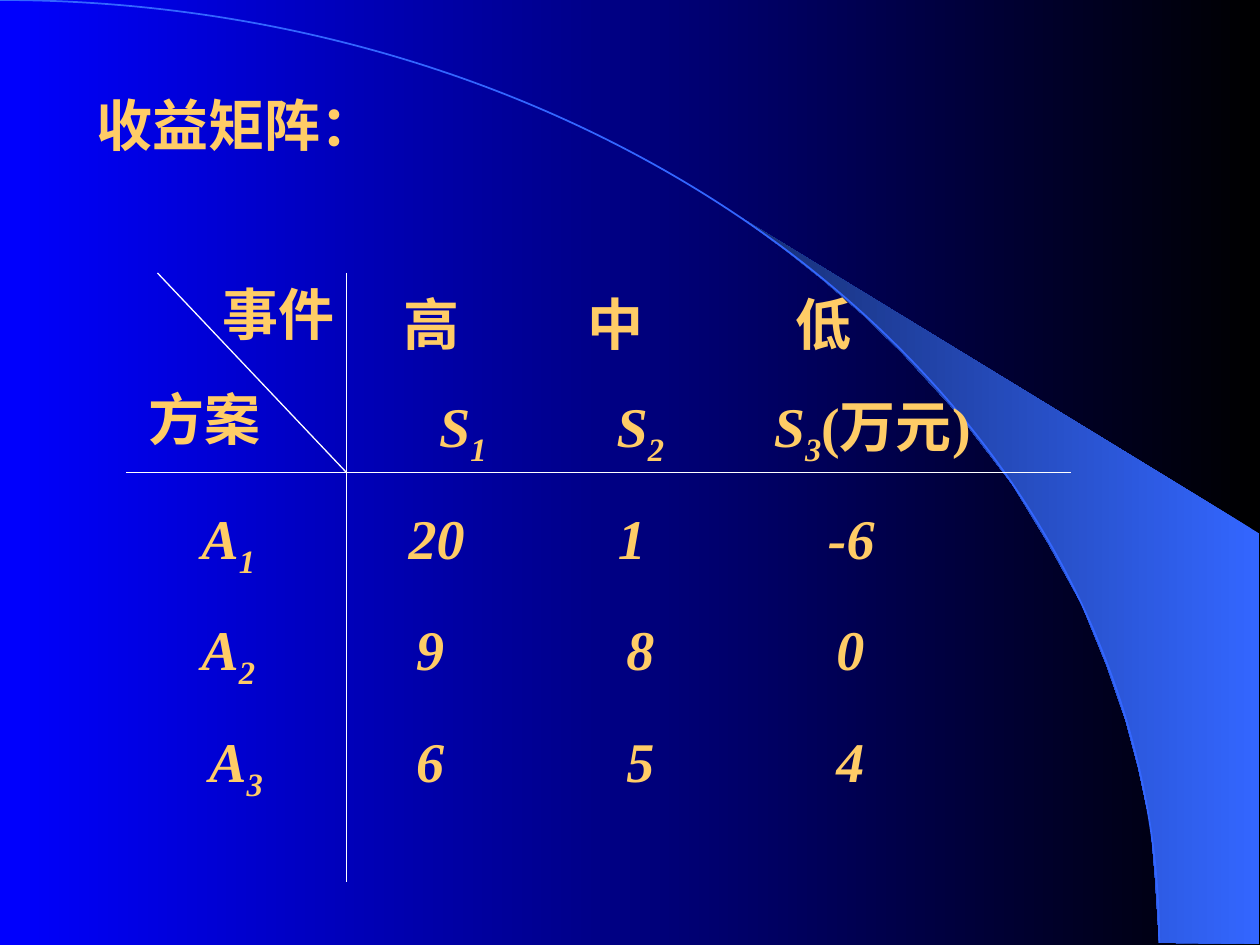
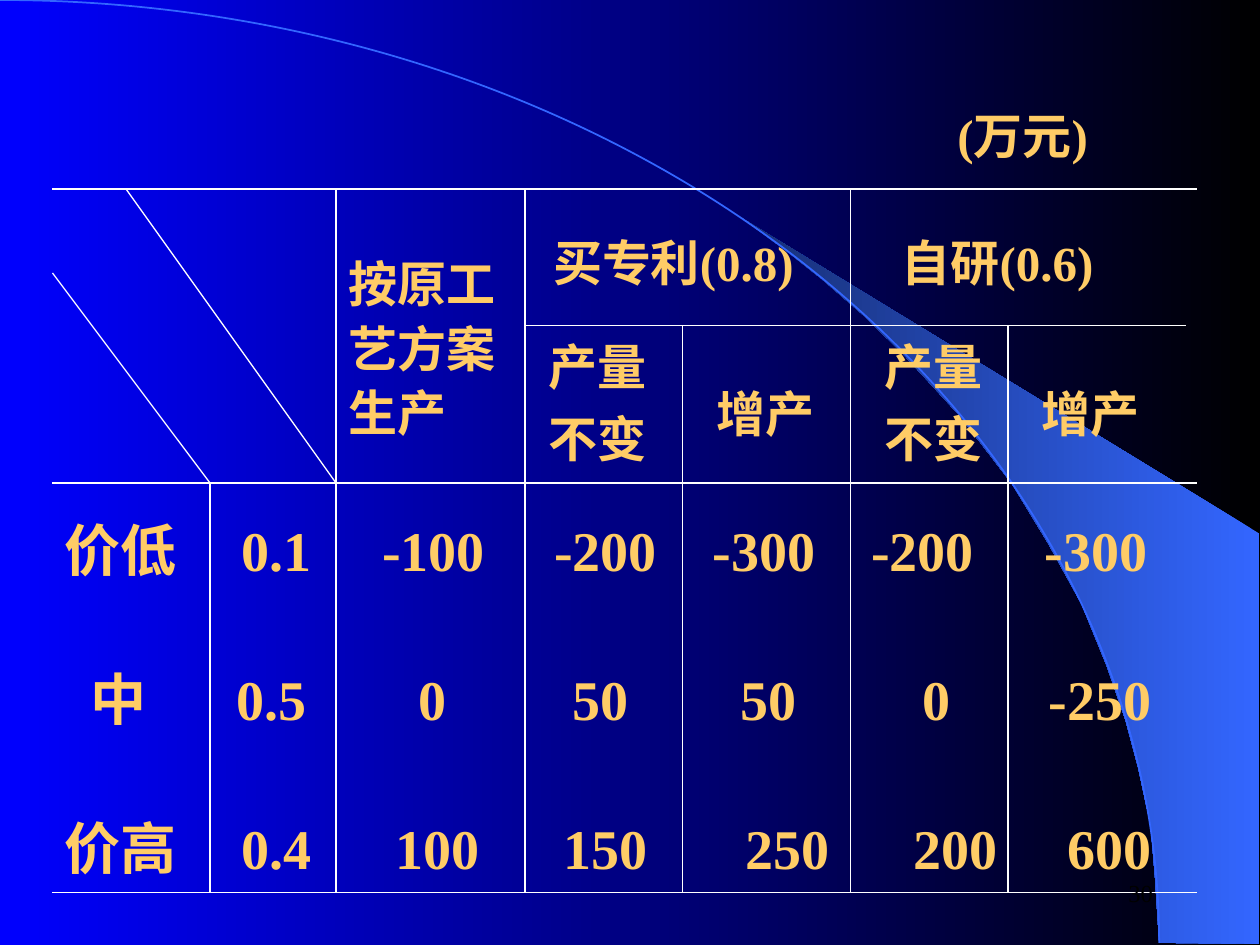
"""Build two slides: a payoff matrix and a table of production alternatives."""
from lxml.etree import SubElement
from pptx import Presentation
from pptx.dml.color import RGBColor
from pptx.enum.shapes import MSO_CONNECTOR, MSO_SHAPE
from pptx.enum.text import MSO_ANCHOR, MSO_AUTO_SIZE as AUTO, PP_ALIGN
from pptx.oxml.ns import qn
from pptx.util import Pt

PX = 7620
W, H = 1200, 900
FONT = "Times New Roman"
COLORS = {"night": "000000", "blue": "0000FF", "sky": "3366FF",
          "navy": "172F75", "gold": "FFCC66", "rule": "FFFFFF"}

WEDGE = [(1104, 898), (1199, 899), (1199, 508), (707, 208), (749, 239), (783, 266),
         (822, 300), (859, 336), (914, 396), (964, 461), (998, 517), (1030, 575),
         (1054, 634), (1072, 686), (1084, 731), (1096, 787), (1100, 835)]
ARC = (-1104, 0, 2208, 1796)

# Each cell is (centre, text, subscript, tail).
PAYOFF_ROWS = [
    [(219, "高"), (394, "中"), (593, "低")],
    [(249, "S", "1"), (418, "S", "2"), (639, "S", "3", "(万元)")],
    [(24, "A", "1"), (224, "20"), (410, "1"), (619, "-6")],
    [(24, "A", "2"), (218, "9"), (418, "8"), (618, "0")],
    [(33, "A", "3"), (218, "6"), (418, "5"), (618, "4")],
]
PAYOFF_LABELS = [
    ((80, 80, 1070, 77), "收益矩阵："),
    ((200, 260, 160, 77), "事件"),
    ((130, 360, 160, 77), "方案"),
]
PAYOFF_RULES = [(120, 450, 1020, 450), (330, 260, 330, 840), (330, 450, 150, 260)]

PRICE_ROWS = [
    [(52, "价低"), (202, "0.1"), (351, "-100"), (515, "-200"),
     (666, "-300"), (817, "-200"), (982, "-300")],
    [(51, "中"), (197, "0.5"), (350, "0"), (510, "50"),
     (670, "50"), (830, "0"), (986, "-250")],
    [(52, "价高"), (202, "0.4"), (355, "100"), (515, "150"),
     (688, "250"), (848, "200"), (995, "600")],
]
PRICE_HEADS = [
    ((320, 230, 190, 197), ["按原工艺方案生产"], 1.1),
    ((515, 210, 290, 74), ["买专利(0.8)"], 1.1),
    ((847, 210, 250, 74), ["自研(0.6)"], 1.1),
    ((511, 330, 140, 120), ["产量", "不变"], 0.7),
    ((671, 320, 140, 108), ["增产"], 1.7),
    ((831, 330, 140, 120), ["产量", "不变"], 0.7),
    ((980, 320, 140, 108), ["增产"], 1.7),
    ((900, 55, 220, 108), ["(万元)"], 1.7),
]
COLUMN_TOPS = {200: 460, 320: 180, 500: 180, 650: 310, 810: 180, 960: 310}
PRICE_RULES = ([(50, y, 1140, y) for y in (180, 460, 850)]
               + [(500, 310, 1130, 310)]
               + [(x, 850, x, top) for x, top in COLUMN_TOPS.items()]
               + [(320, 460, 120, 180), (200, 460, 50, 260)])


def rgb(name):
    return RGBColor.from_string(COLORS[name])


def emu(*lengths):
    return [round(v * PX) for v in lengths]


def paint_gradient(fill, start, end):
    fill.gradient()
    fill.gradient_angle = 180
    for stop, name in zip(fill.gradient_stops, (start, end)):
        stop.color.rgb = rgb(name)


def add_run(p, text, size, color="gold", bold=True, italic=False, sub=False):
    r = p.add_run()
    r.text = text
    f = r.font
    f.name, f.size, f.bold, f.italic = FONT, Pt(size), bold, italic
    f.color.rgb = rgb(color)
    if sub:
        r._r.get_or_add_rPr().set("baseline", "-25000")


def add_frame(slide, box):
    tf = slide.shapes.add_textbox(*emu(*box)).text_frame
    tf.word_wrap = True
    tf.auto_size = AUTO.SHAPE_TO_FIT_TEXT
    return tf


def add_paragraphs(tf, count, spacing, before):
    for i in range(count):
        p = tf.add_paragraph() if i else tf.paragraphs[0]
        p.line_spacing = spacing
        p.space_before = Pt(before if i else 0)
        yield p


def add_label(slide, box, lines, size=32, spacing=1.0):
    tf = add_frame(slide, box)
    for p, line in zip(add_paragraphs(tf, len(lines), spacing, 17.5), lines):
        add_run(p, line, size)


def add_rows(slide, box, rows, spacing=1.0, italic=False):
    tf = add_frame(slide, box)
    for p, row in zip(add_paragraphs(tf, len(rows), spacing, 20), rows):
        tabs = SubElement(p._p.get_or_add_pPr(), qn("a:tabLst"))
        for centre, *parts in row:
            SubElement(tabs, qn("a:tab"), pos=str(centre * PX), algn="ctr")
            for i, part in enumerate(parts):
                add_run(p, part if i else "\t" + part, 32,
                        italic=italic and part.isascii(), sub=i == 1)


def add_rules(slide, rules):
    for ends in rules:
        line = slide.shapes.add_connector(MSO_CONNECTOR.STRAIGHT, *emu(*ends))
        line.line.color.rgb = rgb("rule")
        line.line.width = Pt(0.75)
        SubElement(line._element.spPr, qn("a:effectLst"))


def add_slide(prs):
    slide = prs.slides.add_slide(prs.slide_layouts[6])
    builder = slide.shapes.build_freeform(*WEDGE[0], scale=PX)
    builder.add_line_segments(WEDGE[1:], close=True)
    wedge = builder.convert_to_shape()
    wedge.shadow.inherit = False
    wedge.line.fill.background()
    paint_gradient(wedge.fill, "sky", "navy")
    arc = slide.shapes.add_shape(MSO_SHAPE.ARC, *emu(*ARC))
    arc.shadow.inherit = False
    arc.fill.background()
    arc.line.color.rgb = rgb("sky")
    arc.line.width = Pt(1)
    return slide


def build_payoff(prs):
    slide = add_slide(prs)
    add_rows(slide, (180, 270, 840, 502), PAYOFF_ROWS, italic=True)
    add_rules(slide, PAYOFF_RULES)
    for box, text in PAYOFF_LABELS:
        add_label(slide, box, [text])


def build_prices(prs):
    slide = add_slide(prs)
    add_rows(slide, (50, 440, 1110, 406), PRICE_ROWS, 1.7)
    add_rules(slide, PRICE_RULES)
    for box, lines, spacing in PRICE_HEADS:
        add_label(slide, box, lines, 28, spacing)
    tf = add_frame(slide, (860, 820, 250, 60))
    tf.auto_size = AUTO.NONE
    tf.vertical_anchor = MSO_ANCHOR.MIDDLE
    p = tf.paragraphs[0]
    p.alignment = PP_ALIGN.RIGHT
    add_run(p, "30", 14, "night", bold=False)


def main():
    prs = Presentation()
    prs.slide_width, prs.slide_height = emu(W, H)
    paint_gradient(prs.slide_master.background.fill, "night", "blue")
    build_payoff(prs)
    build_prices(prs)
    prs.save("out.pptx")


if __name__ == "__main__":
    main()
